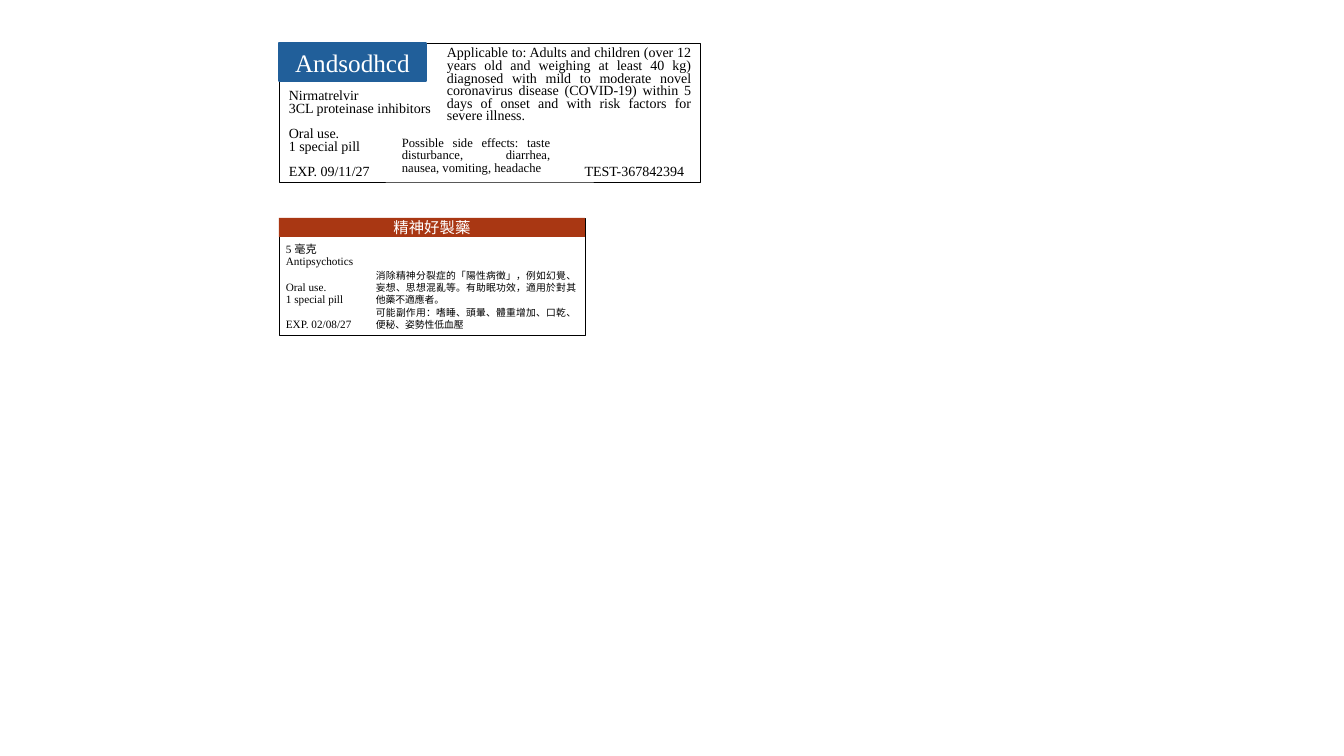
from lxml.etree import SubElement
from pptx import Presentation
from pptx.dml.color import RGBColor
from pptx.enum.shapes import MSO_SHAPE
from pptx.enum.text import MSO_ANCHOR, PP_ALIGN
from pptx.oxml.ns import qn
from pptx.util import Emu, Pt

EMU_PER_PX = 914400 / 100.8
LATIN_FONT = "Times New Roman"
CJK_FONT = "Noto Sans CJK SC"
LINE_PITCH = Pt(9)


def px(length):
    return Emu(round(length * EMU_PER_PX))


def color(hex_string):
    return RGBColor.from_string(hex_string)


def write_lines(frame, lines, size, ink="000000", align=PP_ALIGN.LEFT,
                anchor=MSO_ANCHOR.MIDDLE, pitch=None, font=LATIN_FONT):
    """Fill a text frame with one paragraph per line in a single style."""
    frame.word_wrap = True
    frame.vertical_anchor = anchor
    frame.text = "\n".join(lines)
    for paragraph in frame.paragraphs:
        paragraph.alignment = align
        if pitch:
            paragraph.line_spacing = pitch
        for run in paragraph.runs:
            run.font.size = Pt(size)
            run.font.name = font
            run.font.color.rgb = color(ink)
            SubElement(run.font._element, qn("a:ea"), typeface=CJK_FONT)


def add_rectangle(slide, box, fill, line=None, line_width=0.25):
    rectangle = slide.shapes.add_shape(MSO_SHAPE.RECTANGLE, *map(px, box))
    rectangle.shadow.inherit = False
    rectangle.fill.solid()
    rectangle.fill.fore_color.rgb = color(fill)
    if line:
        rectangle.line.color.rgb = color(line)
        rectangle.line.width = Pt(line_width)
    else:
        rectangle.line.fill.background()
    return rectangle


def add_brand_band(slide, box, brand, size, fill, line=None):
    band = add_rectangle(slide, box, fill, line, 1.5)
    write_lines(band.text_frame, [brand], size, "FFFFFF", PP_ALIGN.CENTER)


def add_text(slide, box, lines, size, **style):
    frame = slide.shapes.add_textbox(*map(px, box)).text_frame
    write_lines(frame, lines, size, **style)
    return frame


def add_dosage(slide, box, drug, drug_class, expiry, size):
    """Add drug, use and expiry as three groups set one line apart."""
    lines = [drug, drug_class, "Oral use.", "1 special pill", f"EXP. {expiry}"]
    frame = add_text(slide, box, lines, size, pitch=LINE_PITCH)
    for group_start in (2, 4):
        frame.paragraphs[group_start].space_before = LINE_PITCH


def add_antiviral_label(slide):
    add_rectangle(slide, (279, 43, 421, 139), "FFFFFF", "000000")
    add_brand_band(slide, (279, 43, 147, 38), "Andsodhcd", 18, "215F9A", "215F9A")
    add_dosage(slide, (279, 87, 284, 96), "Nirmatrelvir",
               "3CL proteinase inhibitors", "09/11/27", 10)
    add_text(slide, (567, 161, 127, 25), ["TEST-367842394"], 10,
             align=PP_ALIGN.RIGHT, pitch=LINE_PITCH)
    add_text(slide, (437, 50, 264, 72),
             ["Applicable to: Adults and children (over 12 years old and weighing "
              "at least 40 kg) diagnosed with mild to moderate novel coronavirus "
              "disease (COVID-19) within 5 days of onset and with risk factors "
              "for severe illness."],
             10, align=PP_ALIGN.JUSTIFY, pitch=LINE_PITCH)
    add_text(slide, (392, 131, 168, 50),
             ["Possible side effects: taste disturbance, diarrhea, nausea, "
              "vomiting, headache"],
             9, align=PP_ALIGN.JUSTIFY, pitch=LINE_PITCH)


def add_antipsychotic_label(slide):
    add_rectangle(slide, (279, 218, 306, 117), "FFFFFF", "000000")
    add_brand_band(slide, (279, 218, 306, 19), "精神好製藥", 11, "A93713")
    add_dosage(slide, (276, 239, 202, 96), "5 毫克", "Antipsychotics", "02/08/27", 8)
    notice_style = {"align": PP_ALIGN.JUSTIFY, "anchor": MSO_ANCHOR.TOP}
    add_text(slide, (366, 302, 220, 34),
             ["可能副作用：嗜睡、頭暈、體重增加、口乾、便秘、姿勢性低血壓"],
             7, font=CJK_FONT, **notice_style)
    add_text(slide, (366, 265, 220, 45),
             ["消除精神分裂症的「陽性病徵」，例如幻覺、妄想、思想混亂等。"
              "有助眠功效，適用於對其他藥不適應者。"],
             7, **notice_style)


def main():
    presentation = Presentation()
    presentation.slide_width = px(1344)
    presentation.slide_height = px(756)
    slide = presentation.slides.add_slide(presentation.slide_layouts[6])
    add_antiviral_label(slide)
    add_antipsychotic_label(slide)
    presentation.save("out.pptx")


if __name__ == "__main__":
    main()
